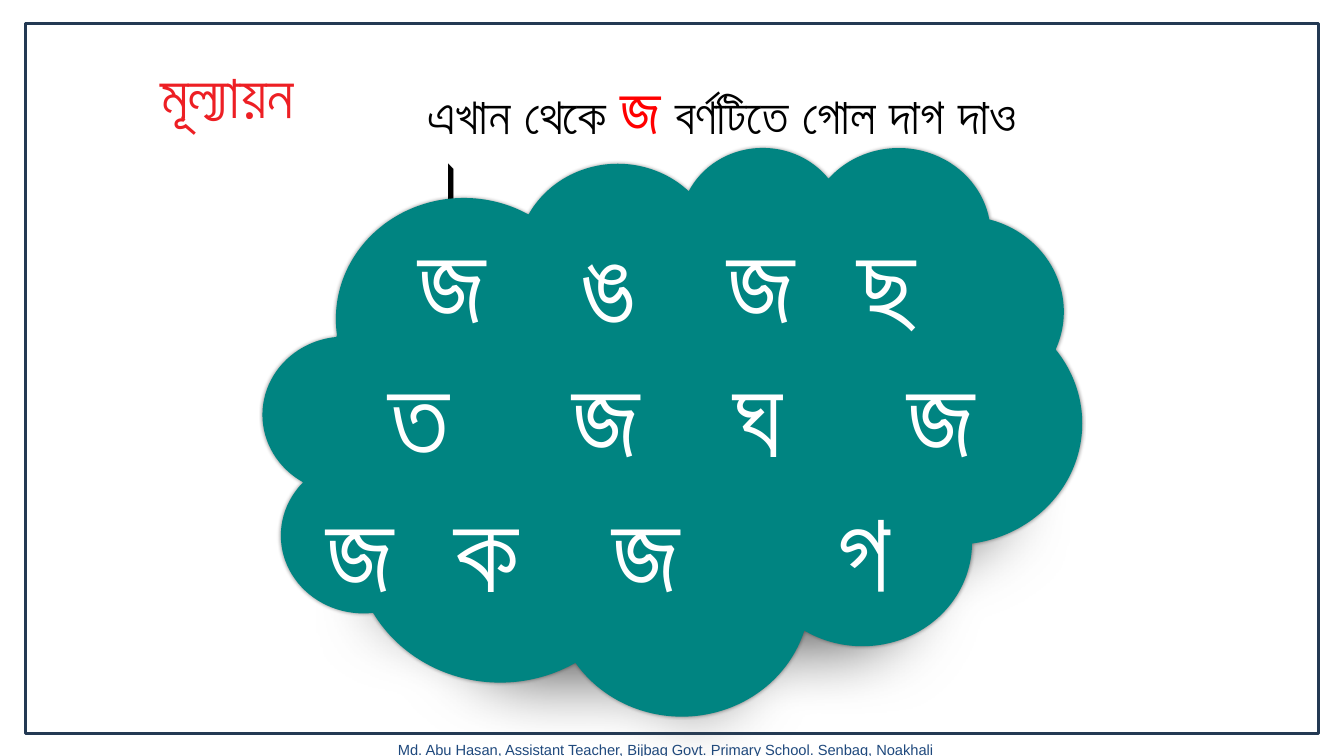
import pptx
import pptx.dml.color
import pptx.enum.shapes
import pptx.enum.text
import pptx.oxml
import pptx.util

SHAPE = pptx.enum.shapes.MSO_SHAPE
ALIGN = pptx.enum.text.PP_ALIGN
ANCHOR = pptx.enum.text.MSO_ANCHOR
AUTO_SIZE = pptx.enum.text.MSO_AUTO_SIZE
NAMESPACE = 'xmlns:a="http://schemas.openxmlformats.org/drawingml/2006/main"'

deck = pptx.Presentation()
deck.slide_width = pptx.util.Inches(13.33)
deck.slide_height = pptx.util.Inches(7.5)
page = deck.slides.add_slide(deck.slide_layouts[5])


def area(left, top, width, height):
    """Turn percentages of the slide into left, top, width and height."""
    return [
        int(share * side / 100)
        for share, side in zip(
            (left, top, width, height),
            (deck.slide_width, deck.slide_height) * 2,
        )
    ]


def style(font, size, color, bold=True):
    font.name = "Arial"
    font.size = pptx.util.Pt(size)
    font.bold = bold
    font.color.rgb = pptx.dml.color.RGBColor.from_string(color)


# Footer
footer = page.shapes.add_textbox(*area(26.26, 97.33, 46.59, 3.73))
footer.text_frame.word_wrap = True
para = footer.text_frame.paragraphs[0]
para.text = (
    "Md. Abu Hasan, Assistant Teacher, Bijbag Govt. Primary School. "
    "Senbag, Noakhali"
)
para.alignment = ALIGN.CENTER
style(para.font, 10.5, "1F497D", bold=False)

# Frame around the page
frame = page.shapes.add_shape(SHAPE.RECTANGLE, *area(1.88, 3.07, 96.25, 94))
frame.shadow.inherit = False
frame.fill.background()
frame.line.color.rgb = pptx.dml.color.RGBColor.from_string("233953")
frame.line.width = pptx.util.Pt(2)

# Title
title = page.shapes.title
title.left, title.top, title.width, title.height = area(11.18, 6.8, 22.43, 11.2)
title.text_frame.auto_size = AUTO_SIZE.NONE
title.text_frame.vertical_anchor = ANCHOR.TOP
para = title.text_frame.paragraphs[0]
para.text = "মূল্যায়ন"
para.alignment = ALIGN.LEFT
style(para.font, 44, "ED1F24")

# Instruction
instruction = page.shapes.add_textbox(*area(31.06, 8.27, 48.24, 12.13))
instruction.text_frame.word_wrap = True
para = instruction.text_frame.paragraphs[0]
for words, size, color in (
    ("এখান থেকে ", 36, "000000"),
    ("জ", 48, "FF0000"),
    (" বর্ণটিতে গোল দাগ দাও ।", 36, "000000"),
):
    span = para.add_run()
    span.text = words
    style(span.font, size, color)

# Blurred shade below the cloud, then the cloud itself
soft_edge = '<a:softEdge rad="635000"/>'
thin_shadow = (
    '<a:outerShdw blurRad="25400" dist="0" dir="0">'
    '<a:srgbClr val="000000"><a:alpha val="40000"/></a:srgbClr></a:outerShdw>'
)
for left, top, color, effect in (
    (20.63, 30.4, "595959", soft_edge),
    (19.58, 19.33, "008481", thin_shadow),
):
    cloud = page.shapes.add_shape(SHAPE.CLOUD, *area(left, top, 60.92, 75.2))
    cloud.shadow.inherit = False
    cloud.fill.solid()
    cloud.fill.fore_color.rgb = pptx.dml.color.RGBColor.from_string(color)
    cloud.line.fill.background()
    effects = cloud.element.spPr.find(pptx.oxml.ns.qn("a:effectLst"))
    effects.append(
        pptx.oxml.parse_xml(effect.replace(" ", f" {NAMESPACE} ", 1))
    )

# Letters on the cloud, each at a tab stop (inches from the text edge)
letters = page.shapes.add_textbox(*area(23.56, 27.33, 59.64, 55.2))
letters.text_frame.word_wrap = True
for row, (text, stops) in enumerate((
    ("\tজ\tঙ\tজ\tছ", (0.91, 2.53, 3.98, 5.27)),
    ("\tত\tজ\tঘ\tজ", (0.61, 2.44, 4.04, 5.76)),
    ("জ\tক\tজ\tগ", (1.27, 2.84, 5.07)),
)):
    frame_text = letters.text_frame
    para = frame_text.add_paragraph() if row else frame_text.paragraphs[0]
    para.text = text
    tabs = "".join(
        f'<a:tab pos="{pptx.util.Inches(stop)}" algn="l"/>' for stop in stops
    )
    para._p.get_or_add_pPr().append(
        pptx.oxml.parse_xml(f"<a:tabLst {NAMESPACE}>{tabs}</a:tabLst>")
    )
    style(para.font, 80, "FFFFFF")

deck.save("out.pptx")
